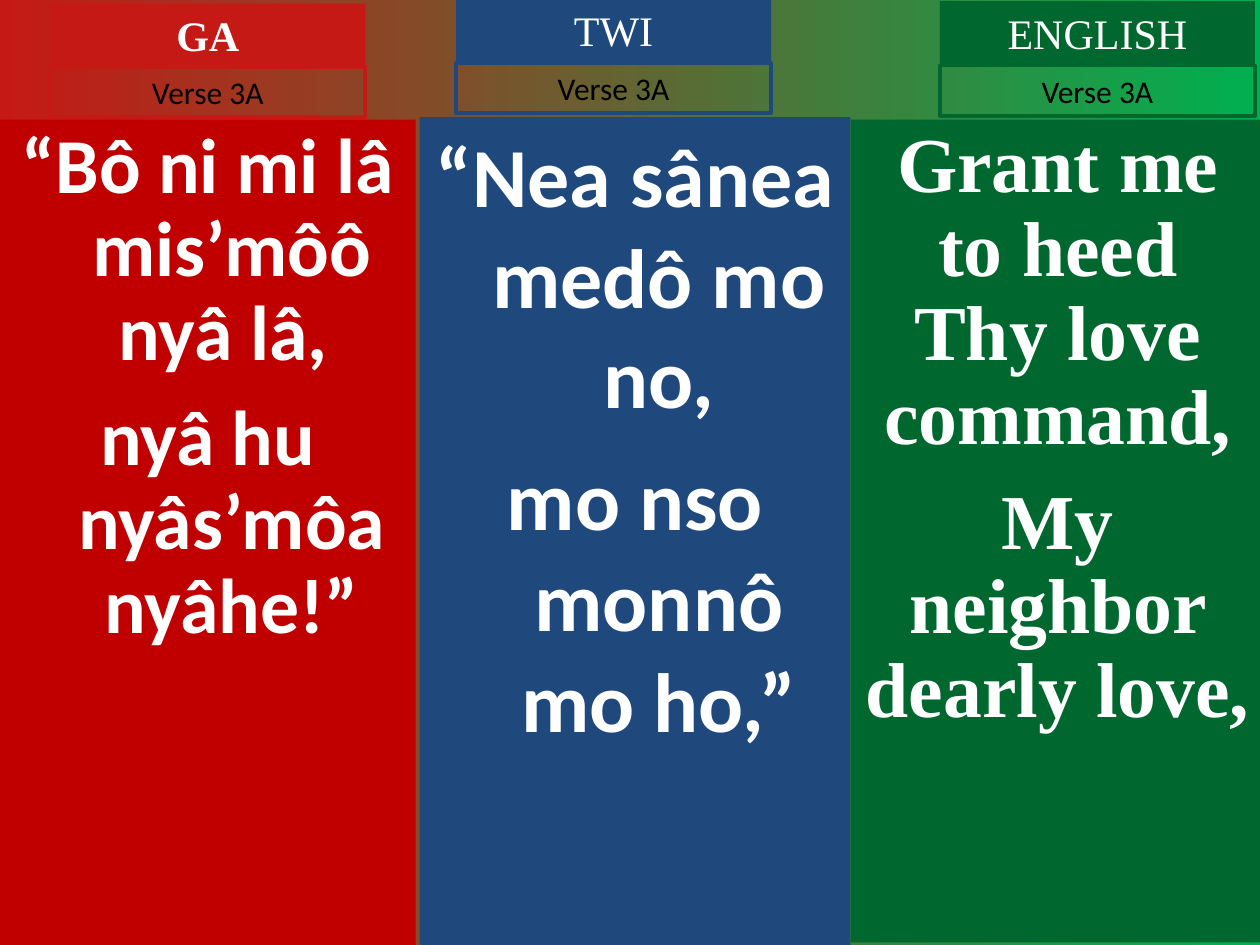
from dataclasses import dataclass

from pptx import Presentation
from pptx.dml.color import RGBColor
from pptx.enum import shapes, text
from pptx.util import Inches, Pt


@dataclass(frozen=True)
class Theme:
    """Colours, fonts and type sizes of the slide."""
    ga: str = "C00000"
    ga_label: str = "C51915"
    twi: str = "1F497D"
    english: str = "00682F"
    backdrop_end: str = "00B050"
    light: str = "FFFFFF"
    dark: str = "000000"
    sans: str = "Calibri"
    serif: str = "Times New Roman"
    lyric_size: float = 44.4
    large_lyric_size: float = 48
    title_size: float = 24
    verse_size: float = 18


THEME = Theme()
LABEL_WIDTH = 2.5
HANGING = 0.38


def paint_backdrop(page):
    """Give the page a left-to-right gradient."""
    fill = page.background.fill
    fill.gradient()
    fill.gradient_angle = 0
    for stop, color, position in zip(fill.gradient_stops, (THEME.ga_label, THEME.backdrop_end), (0, 1)):
        stop.color.rgb = RGBColor.from_string(color)
        stop.position = position


def add_box(page, place, fill=None, line=None):
    """Add a flat rectangle with top-anchored, wrapping text."""
    box = page.shapes.add_shape(shapes.MSO_SHAPE.RECTANGLE, *map(Inches, place))
    box.shadow.inherit = False
    if fill:
        box.fill.solid()
        box.fill.fore_color.rgb = RGBColor.from_string(fill)
    else:
        box.fill.background()
    if line:
        box.line.color.rgb = RGBColor.from_string(line)
        box.line.width = Pt(2.25)
    else:
        box.line.fill.background()
    box.text_frame.word_wrap = True
    box.text_frame.vertical_anchor = text.MSO_ANCHOR.TOP
    return box


def style_para(para, font, size, color, bold=False):
    """Centre a paragraph and set its font."""
    para.alignment = text.PP_ALIGN.CENTER
    para.font.name = font
    para.font.size = Pt(size)
    para.font.bold = bold
    para.font.color.rgb = RGBColor.from_string(color)


def add_lyrics(page, place, fill, lines, font, size, spacing=None, hanging=0):
    """Add a language panel with one paragraph for each line of the verse."""
    frame = add_box(page, place, fill).text_frame
    for index, line in enumerate(lines):
        para = frame.add_paragraph() if index else frame.paragraphs[0]
        para.text = line
        if index:
            para.space_before = Pt(12)
        if spacing:
            para.line_spacing = spacing
        if hanging:
            properties = para._p.get_or_add_pPr()
            properties.set("marL", str(Inches(hanging)))
            properties.set("indent", str(-Inches(hanging)))
        style_para(para, font, size, THEME.light, bold=True)


def add_label(page, place, words, font, size, color, bold=False, **paint):
    """Add a one-line label that grows with its text."""
    frame = add_box(page, place, **paint).text_frame
    frame.auto_size = text.MSO_AUTO_SIZE.SHAPE_TO_FIT_TEXT
    frame.text = words
    style_para(frame.paragraphs[0], font, size, color, bold)


def add_heading(page, left, title_top, verse_top, language, color, bold=False):
    """Add a language title with its verse label below."""
    add_label(page, (left, title_top, LABEL_WIDTH, 0.5), language, THEME.serif,
              THEME.title_size, THEME.light, bold, fill=color)
    add_label(page, (left, verse_top, LABEL_WIDTH, 0.4), "Verse 3A", THEME.sans,
              THEME.verse_size, THEME.dark, line=color)


def main():
    """Build the three-language verse slide."""
    deck = Presentation()
    deck.slide_width, deck.slide_height = Inches(10), Inches(7.5)
    page = deck.slides.add_slide(deck.slide_layouts[6])
    paint_backdrop(page)

    add_lyrics(page, (0, 0.95, 3.3, 6.55), THEME.ga,
               ("“Bô ni mi lâ mis’môô nyâ lâ, ", "nyâ hu nyâs’môa nyâhe!”"),
               THEME.sans, THEME.lyric_size, spacing=0.9, hanging=HANGING)
    add_lyrics(page, (3.33, 0.93, 3.42, 6.57), THEME.twi,
               ("“Nea sânea medô mo no,", "mo nso monnô mo ho,”"),
               THEME.sans, THEME.large_lyric_size, hanging=HANGING)
    add_lyrics(page, (6.75, 0.95, 3.29, 6.53), THEME.english,
               ("Grant me to heed Thy love command,", "My neighbor dearly love,"),
               THEME.serif, THEME.lyric_size, spacing=0.9)

    add_heading(page, 0.4, 0.03, 0.53, "GA", THEME.ga_label, bold=True)
    add_heading(page, 3.62, -0.01, 0.5, "TWI", THEME.twi)
    add_heading(page, 7.46, 0.01, 0.52, "ENGLISH", THEME.english)
    deck.save("out.pptx")


if __name__ == "__main__":
    main()
